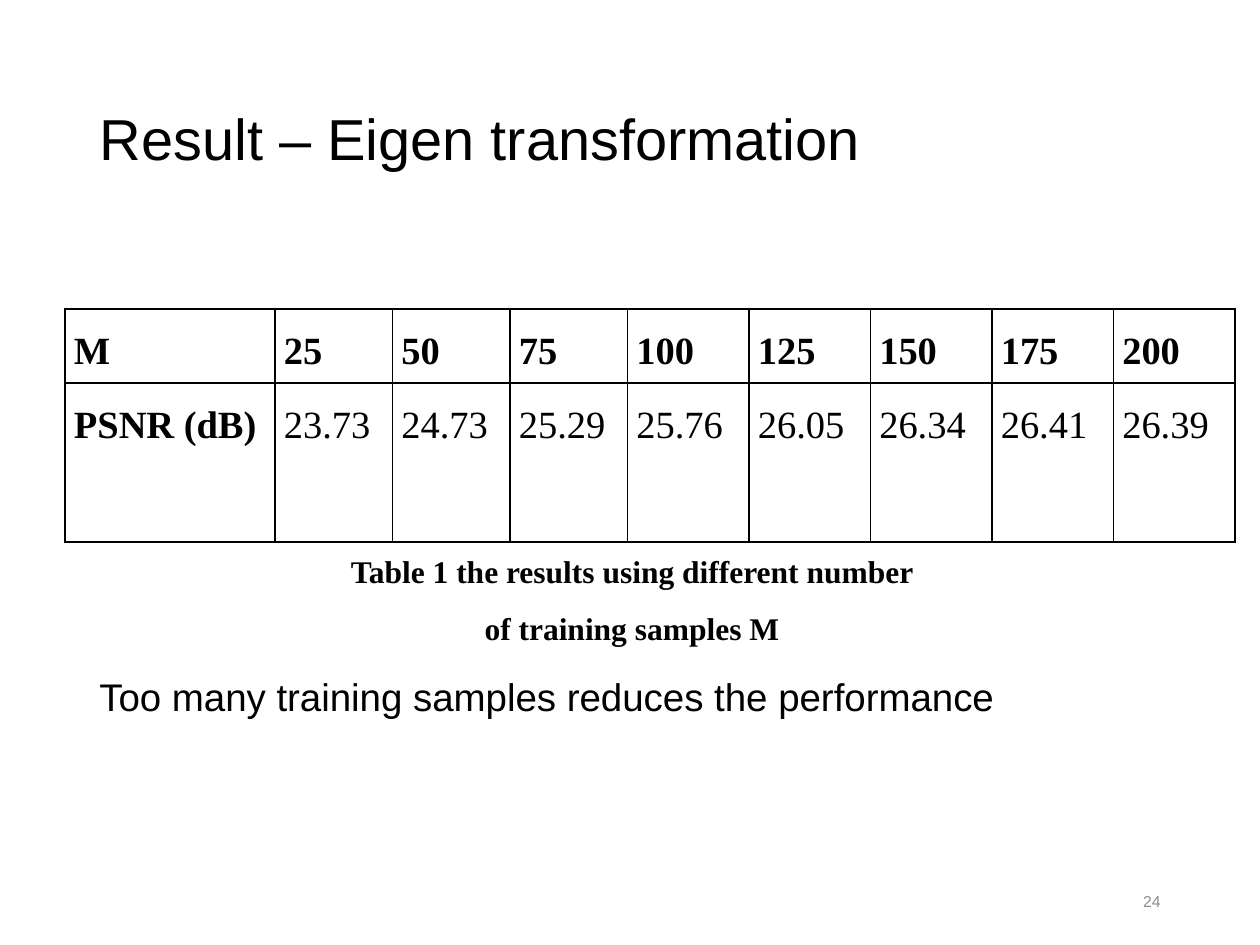
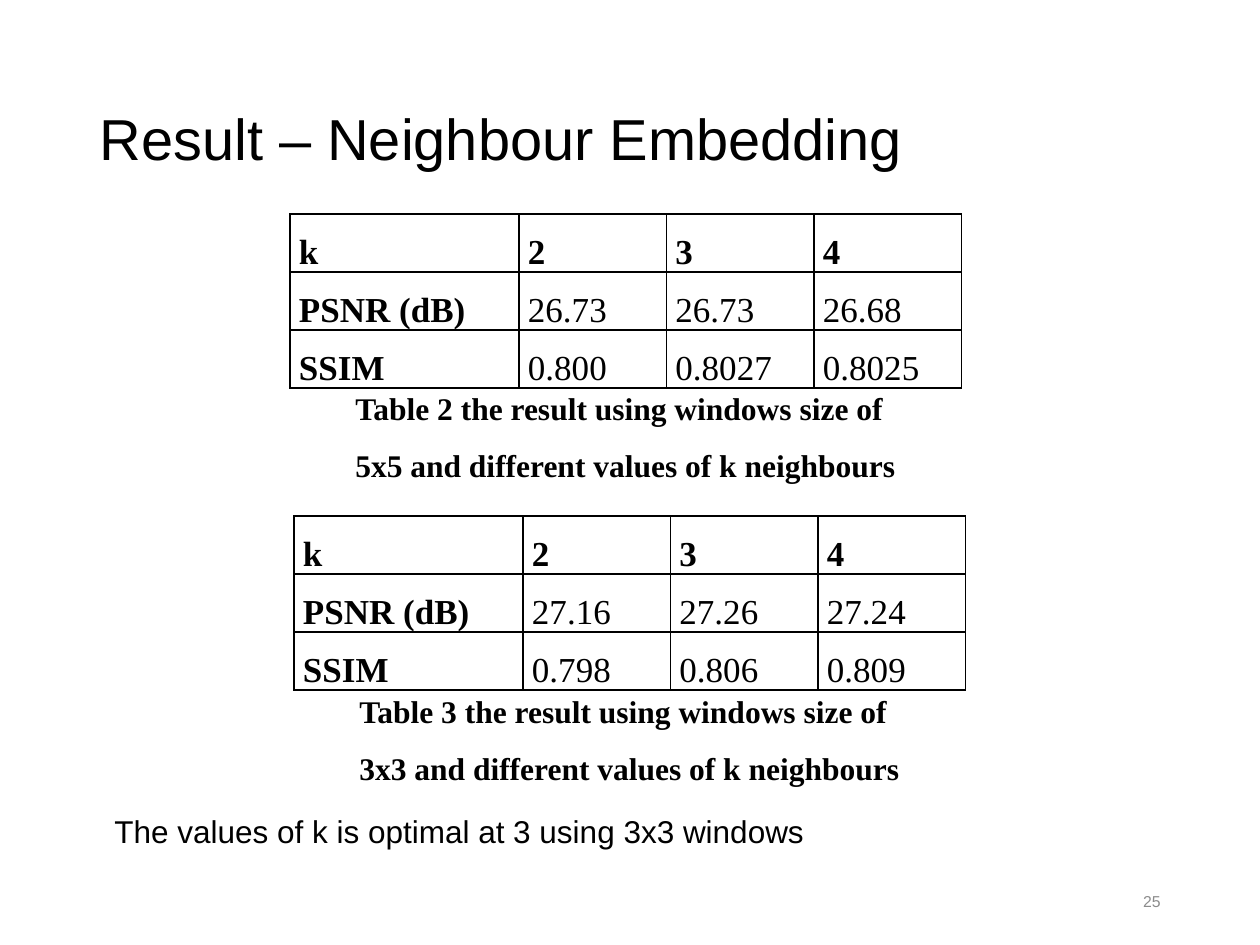
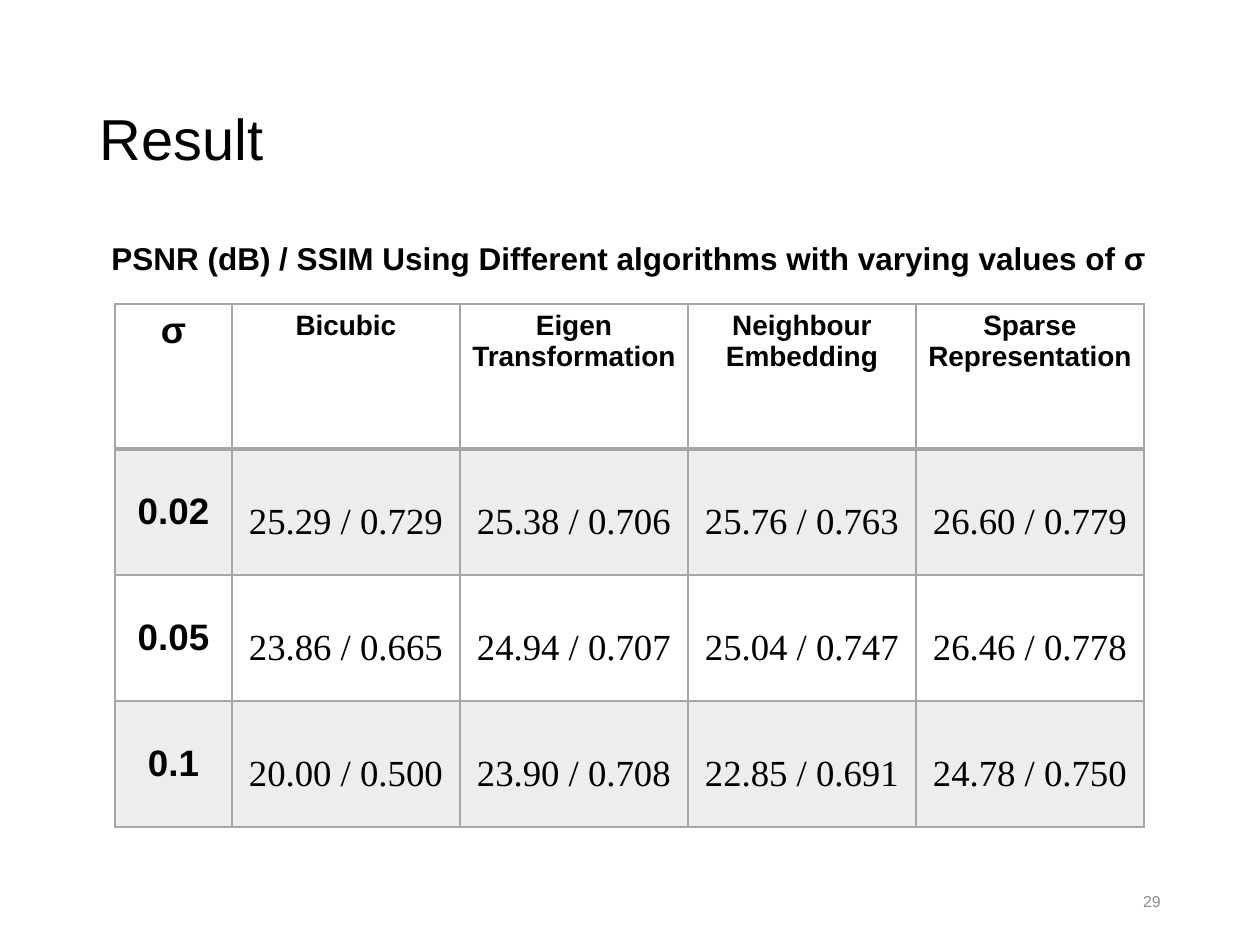
from lxml.etree import SubElement
from pptx import Presentation
from pptx.dml.color import RGBColor
from pptx.enum.text import MSO_ANCHOR as ANCHOR, MSO_AUTO_SIZE as AUTO, PP_ALIGN as ALIGN
from pptx.oxml.ns import qn
from pptx.util import Emu, Pt

SCALE = 914400 / 126
COLORS = {"text": "000000", "grid": "A5A5A5", "band": "EDEDED", "number": "8C8C8C"}
SANS, SERIF = "Arial", "Times New Roman"


def px(n):
    return Emu(round(n * SCALE))


def format_text(tf, size, font=SANS, bold=False, color="text", align=ALIGN.LEFT,
                spacing=None, after=None, indent=0):
    for p in tf.paragraphs:
        p.alignment = align
        if spacing:
            p.line_spacing = spacing
        if after is not None:
            p.space_after = Pt(after)
        if indent:
            p._p.get_or_add_pPr().set("marL", str(px(indent)))
        for r in p.runs:
            r.font.size = Pt(size)
            r.font.name = font
            r.font.bold = bold
            r.font.color.rgb = RGBColor.from_string(COLORS[color])


def add_text(s, x, y, w, h, text, size, anchor=ANCHOR.TOP, **style):
    tf = s.shapes.add_textbox(px(x), px(y), px(w), px(h)).text_frame
    tf.word_wrap = True
    tf.vertical_anchor = anchor
    tf.text = text
    format_text(tf, size, **style)


def add_caption(s, x, y, text, align=ALIGN.LEFT):
    add_text(s, x, y, 630, 121, text, 18, font=SERIF, bold=True, align=align,
             spacing=1.5, after=6, indent=32)


def add_slide(prs, title, number):
    s = prs.slides.add_slide(prs.slide_layouts[5])
    sp = s.shapes.title
    sp.left, sp.top, sp.width, sp.height = px(87), px(50), px(1086), px(183)
    tf = sp.text_frame
    tf.text = title
    tf.auto_size = AUTO.NONE
    tf.vertical_anchor = ANCHOR.MIDDLE
    format_text(tf, 33, spacing=0.9)
    add_text(s, 890, 876, 283, 50, str(number), 9, anchor=ANCHOR.MIDDLE,
             color="number", align=ALIGN.RIGHT)
    return s


def set_borders(cell, color, top=1, bottom=1):
    tcPr = cell._tc.get_or_add_tcPr()
    for side, width in (("L", 1), ("R", 1), ("T", top), ("B", bottom)):
        ln = SubElement(tcPr, qn(f"a:ln{side}"), w=str(Pt(width)))
        fill = SubElement(ln, qn("a:solidFill"))
        SubElement(fill, qn("a:srgbClr"), val=COLORS[color])


def set_margins(cell, side, end):
    cell.margin_left = cell.margin_right = px(side)
    cell.margin_top = cell.margin_bottom = px(end)


def add_grid(s, x, y, cols, rows, data):
    frame = s.shapes.add_table(len(rows), len(cols), px(x), px(y),
                               px(sum(cols)), px(sum(rows)))
    table = frame.table
    table.first_row = table.horz_banding = False
    for col, width in zip(table.columns, cols):
        col.width = px(width)
    for row, height in zip(table.rows, rows):
        row.height = px(height)
    for i, values in enumerate(data):
        for j, value in enumerate(values):
            cell = table.cell(i, j)
            cell.text_frame.text = value
            yield i, j, cell


def add_plain_table(s, x, y, cols, rows, data, size, anchor=ANCHOR.TOP, spacing=1.5, after=6):
    for i, j, cell in add_grid(s, x, y, cols, rows, data):
        set_margins(cell, 9, 0)
        set_borders(cell, "text")
        cell.fill.background()
        cell.vertical_anchor = anchor
        format_text(cell.text_frame, size, SERIF, bold=i == 0 or j == 0,
                    spacing=spacing, after=after)


def add_banded_table(s, x, y, cols, rows, data):
    for i, j, cell in add_grid(s, x, y, cols, rows, data):
        set_borders(cell, "grid", top=2 if i == 1 else 1, bottom=2 if i == 0 else 1)
        if i % 2:
            cell.fill.solid()
            cell.fill.fore_color.rgb = RGBColor.from_string(COLORS["band"])
        else:
            cell.fill.background()
        cell.vertical_anchor = ANCHOR.MIDDLE if i else ANCHOR.TOP
        if i and j:
            set_margins(cell, 9, 0)
            format_text(cell.text_frame, 21, SERIF, align=ALIGN.CENTER,
                        spacing=1.5, after=6)
        else:
            set_margins(cell, 10, 6)
            format_text(cell.text_frame, 16 if j else 21, bold=True, align=ALIGN.CENTER)


def eigen_slide(prs):
    s = add_slide(prs, "Result – Eigen transformation", 24)
    add_plain_table(s, 65, 309, [210] + [117.5] * 3 + [121.5] * 5, [74, 159], [
        ["M", "25", "50", "75", "100", "125", "150", "175", "200"],
        ["PSNR (dB)", "23.73", "24.73", "25.29", "25.76", "26.05", "26.34", "26.41", "26.39"],
    ], 22)
    add_text(s, 87, 667, 944, 59, "Too many training samples reduces the performance", 22)
    add_caption(s, 301, 527, "Table 1 the results using different number of training samples M",
                ALIGN.CENTER)


def neighbour_slide(prs):
    s = add_slide(prs, "Result – Neighbour Embedding", 25)
    results = [
        (2, "5x5", 290, 214, 311, 364,
         ["26.73", "26.73", "26.68"], ["0.800", "0.8027", "0.8025"]),
        (3, "3x3", 294, 516, 315, 667,
         ["27.16", "27.26", "27.24"], ["0.798", "0.806", "0.809"]),
    ]
    for number, window, x, y, caption_x, caption_y, psnr, ssim in results:
        add_plain_table(s, x, y, [229] + [147.5] * 3, [58] * 3, [
            ["k", "2", "3", "4"], ["PSNR (dB)"] + psnr, ["SSIM"] + ssim,
        ], 20, anchor=ANCHOR.BOTTOM, spacing=1.3, after=0)
        add_caption(s, caption_x, caption_y, f"Table {number} the result using windows size of "
                    f"{window} and different values of k neighbours")
    add_text(s, 102, 806, 903, 50, "The values of k is optimal at 3 using 3x3 windows", 18)


def comparison_slide(prs):
    s = add_slide(prs, "Result", 29)
    add_banded_table(s, 115, 304, [117] + [228] * 4, [145] + [126] * 3, [
        ["σ", "Bicubic", "Eigen\nTransformation", "Neighbour\nEmbedding",
         "Sparse\nRepresentation"],
        ["0.02", "25.29 / 0.729", "25.38 / 0.706", "25.76 / 0.763", "26.60 / 0.779"],
        ["0.05", "23.86 / 0.665", "24.94 / 0.707", "25.04 / 0.747", "26.46 / 0.778"],
        ["0.1", "20.00 / 0.500", "23.90 / 0.708", "22.85 / 0.691", "24.78 / 0.750"],
    ])
    add_text(s, 99, 233, 1064, 89,
             "PSNR (dB) / SSIM Using Different algorithms with varying values of σ", 18, bold=True)


def main():
    prs = Presentation()
    prs.slide_width, prs.slide_height = px(1260), px(945)
    eigen_slide(prs)
    neighbour_slide(prs)
    comparison_slide(prs)
    prs.save("out.pptx")


if __name__ == "__main__":
    main()
